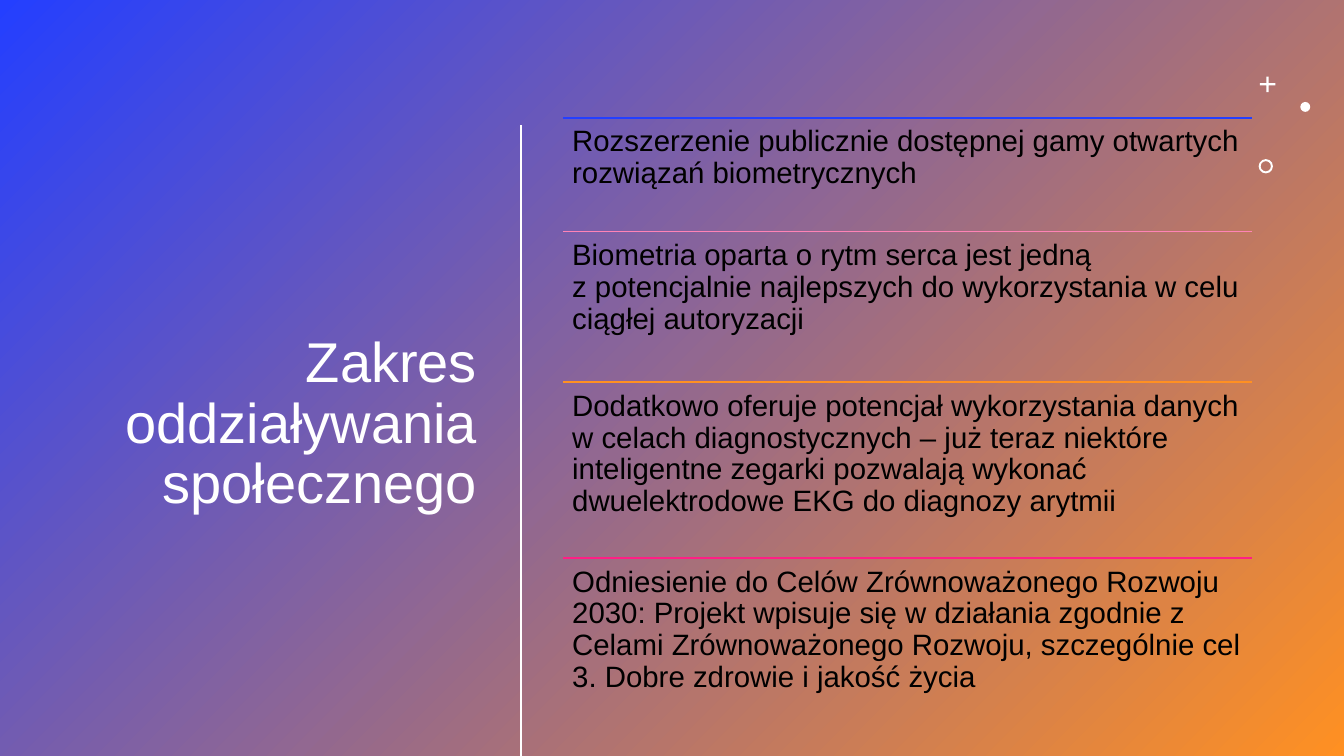
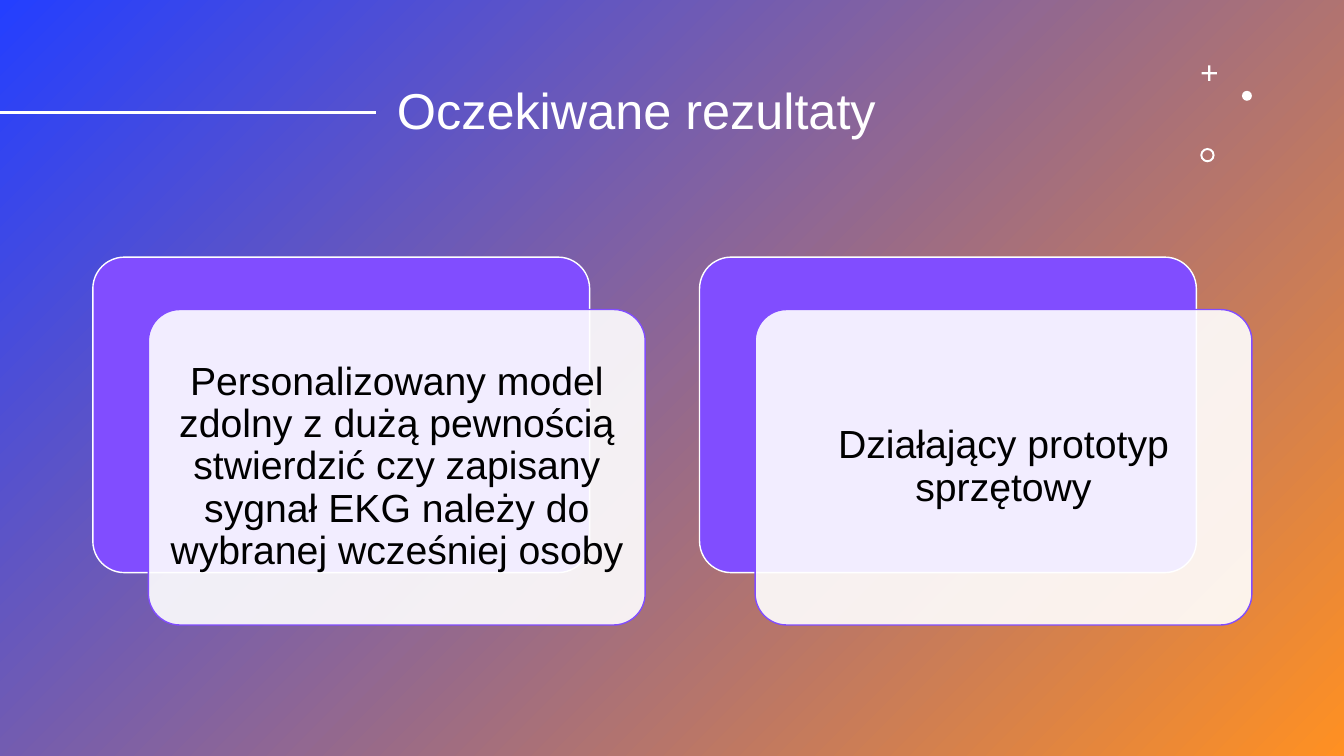
import lxml.etree
import pptx
import pptx.dml.color
import pptx.enum.shapes
import pptx.enum.text
import pptx.oxml.ns
import pptx.util

Cm = pptx.util.Cm
Pt = pptx.util.Pt
SHAPE = pptx.enum.shapes.MSO_SHAPE
ALIGN = pptx.enum.text.PP_ALIGN
ANCHOR = pptx.enum.text.MSO_ANCHOR

FONT = "Arial"
BLUE, ORANGE, PINK, MAGENTA = "243FFF", "FF9022", "FF83B6", "FF1F85"
PURPLE, WHITE, BLACK = "814DFF", "FFFFFF", "000000"
WIDTH, HEIGHT = 33.87, 19.05

# Rule colour, height of the row in cm, text
IMPACTS = [
    (BLUE, 2.87, "Rozszerzenie publicznie dostępnej gamy otwartych rozwiązań biometrycznych"),
    (PINK, 3.79, "Biometria oparta o rytm serca jest jedną\v"
                 "z potencjalnie najlepszych do wykorzystania w celu ciągłej autoryzacji"),
    (ORANGE, 4.43, "Dodatkowo oferuje potencjał wykorzystania danych w celach diagnostycznych "
                   "– już teraz niektóre inteligentne zegarki pozwalają wykonać "
                   "dwuelektrodowe EKG do diagnozy arytmii"),
    (MAGENTA, 4.43, "Odniesienie do Celów Zrównoważonego Rozwoju 2030: Projekt wpisuje się "
                    "w działania zgodnie z Celami Zrównoważonego Rozwoju, szczególnie cel 3. "
                    "Dobre zdrowie i jakość życia"),
]
RESULTS = [
    "Personalizowany model zdolny z dużą pewnością stwierdzić czy zapisany "
    "sygnał EKG należy do wybranej wcześniej osoby",
    "Działający prototyp sprzętowy",
]
# Shape, offset from the corner of the ornament, size, adjustment
ORNAMENT = [
    (SHAPE.CROSS, 0, 0, 0.39, 0.43),
    (SHAPE.OVAL, 1.02, 0.64, 0.25, None),
    (SHAPE.DONUT, -0.03, 2.08, 0.36, 0.14),
]


def rgb(value):
    return pptx.dml.color.RGBColor.from_string(value)


def write(shape, text, size, color, align, anchor, inset=None):
    """Put one formatted paragraph into a shape, text box or placeholder."""
    frame = shape.text_frame
    frame.text = text
    frame.word_wrap = True
    frame.auto_size = pptx.enum.text.MSO_AUTO_SIZE.NONE
    frame.vertical_anchor = anchor
    if inset is not None:
        frame.margin_left = frame.margin_right = Cm(inset)
        frame.margin_top = frame.margin_bottom = Cm(inset)
    para = frame.paragraphs[0]
    para.alignment = align
    para.line_spacing = 0.9
    for span in para.runs:
        span.font.name = FONT
        span.font.size = Pt(size)
        span.font.color.rgb = rgb(color)


def add_line(page, x1, y1, x2, y2, color, weight):
    line = page.shapes.add_connector(
        pptx.enum.shapes.MSO_CONNECTOR.STRAIGHT, Cm(x1), Cm(y1), Cm(x2), Cm(y2))
    line.line.color.rgb = rgb(color)
    line.line.width = Pt(weight)
    lxml.etree.SubElement(line.element.spPr, pptx.oxml.ns.qn("a:effectLst"))


def add_shape(page, kind, left, top, width, height, fill, outline=None,
              adjust=None, opacity=None):
    shape = page.shapes.add_shape(kind, Cm(left), Cm(top), Cm(width), Cm(height))
    shape.shadow.inherit = False
    shape.fill.solid()
    shape.fill.fore_color.rgb = rgb(fill)
    if outline:
        shape.line.color.rgb = rgb(outline)
        shape.line.width = Pt(1)
    else:
        shape.line.fill.background()
    if adjust is not None:
        shape.adjustments[0] = adjust
    if opacity is not None:
        color = shape.element.spPr.find(".//" + pptx.oxml.ns.qn("a:srgbClr"))
        alpha = lxml.etree.SubElement(color, pptx.oxml.ns.qn("a:alpha"))
        alpha.set("val", str(opacity * 1000))
    return shape


def set_background(master):
    fill = master.background.fill
    fill.gradient()
    fill.gradient_angle = 315
    for stop, color in zip(fill.gradient_stops, (BLUE, ORANGE)):
        stop.color.rgb = rgb(color)


def add_page(deck, title, area, size, align, line, corner):
    """Add a slide with its title, the white title line and the ornament."""
    page = deck.slides.add_slide(deck.slide_layouts[5])
    heading = page.shapes.title
    heading.left, heading.top, heading.width, heading.height = map(Cm, area)
    write(heading, title, size, WHITE, align, ANCHOR.MIDDLE)
    add_line(page, *line, WHITE, 2)
    for kind, dx, dy, side, adjust in ORNAMENT:
        add_shape(page, kind, corner[0] + dx, corner[1] + dy, side, side, WHITE, adjust=adjust)
    return page


def build_impact(deck):
    page = add_page(deck, "Zakres oddziaływania społecznego", (1.32, 2.95, 10.95, 15.52),
                    40, ALIGN.RIGHT, (13.13, 3.15, 13.13, HEIGHT), (31.75, 1.93))
    left, top, width = 14.2, 2.97, 17.35
    for color, height, text in IMPACTS:
        add_line(page, left, top, left + width, top, color, 1)
        box = page.shapes.add_textbox(Cm(left), Cm(top), Cm(width), Cm(height))
        write(box, text, 21, BLACK, ALIGN.LEFT, ANCHOR.TOP, 0.22)
        top += height


def build_results(deck):
    page = add_page(deck, "Oczekiwane rezultaty", (9.75, 1.02, 19.89, 3.68),
                    36, ALIGN.LEFT, (0, 2.84, 9.47, 2.84), (30.28, 1.65))
    top, width, height, step = 6.48, 12.52, 7.95, 15.29
    for index, text in enumerate(RESULTS):
        left = 2.34 + index * step
        add_shape(page, SHAPE.ROUNDED_RECTANGLE, left, top, width, height,
                  PURPLE, WHITE, 0.1)
        card = add_shape(page, SHAPE.ROUNDED_RECTANGLE, left + 1.4, top + 1.32, width, height,
                         WHITE, PURPLE, 0.1, 90)
        write(card, text, 28, BLACK, ALIGN.CENTER, ANCHOR.MIDDLE, 0.28)


def main():
    deck = pptx.Presentation()
    deck.slide_width, deck.slide_height = Cm(WIDTH), Cm(HEIGHT)
    set_background(deck.slide_master)
    build_impact(deck)
    build_results(deck)
    deck.save("out.pptx")


if __name__ == "__main__":
    main()
